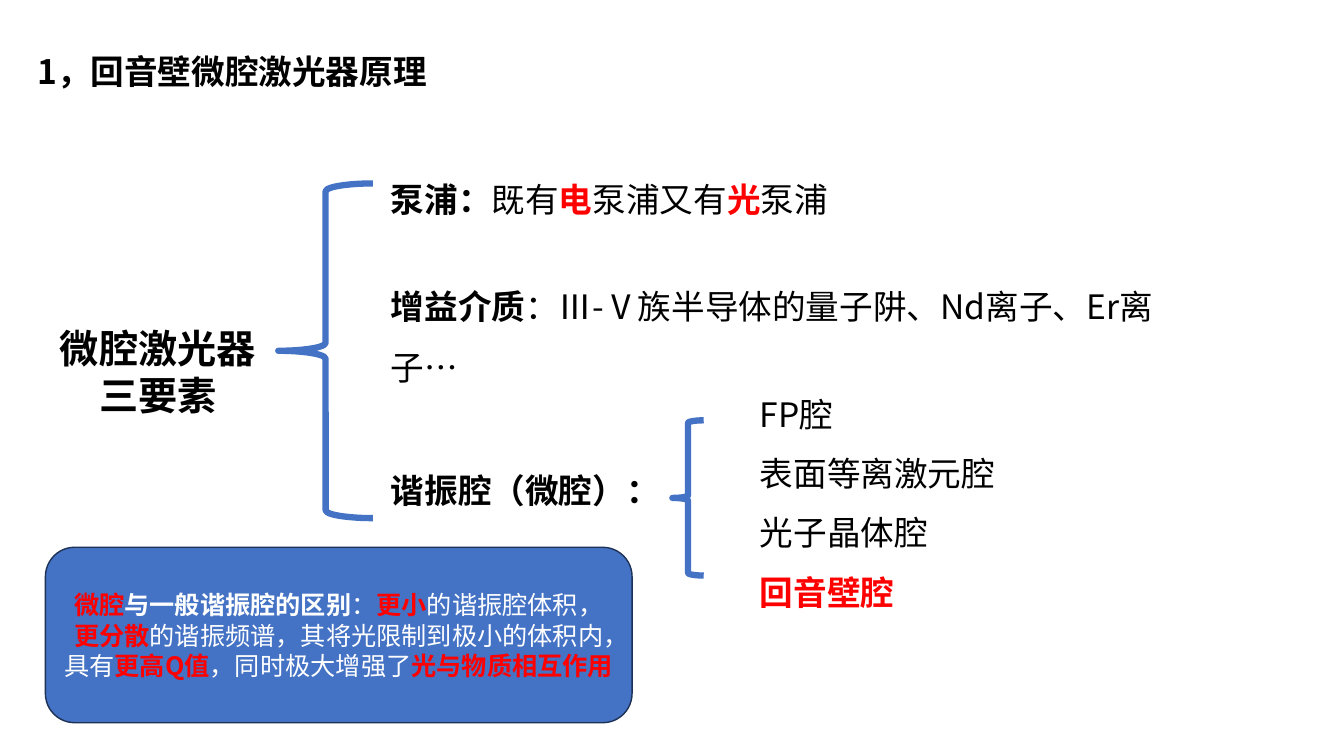
"""Build the slide on the principle of whispering-gallery microcavity lasers."""
from typing import NamedTuple

from lxml.etree import SubElement
from pptx import Presentation
from pptx.dml.color import RGBColor
from pptx.enum.shapes import MSO_SHAPE
from pptx.enum.text import MSO_ANCHOR, PP_ALIGN
from pptx.oxml.ns import qn
from pptx.util import Inches, Pt

FONT = "Noto Sans CJK SC"
COLORS = {"ink": "000000", "key": "FF0000", "light": "FFFFFF",
          "accent": "4472C4", "edge": "1E3256"}
STYLES = {
    "plain": ("ink", False),
    "bold": ("ink", True),
    "key": ("key", True),
    "light": ("light", False),
    "light_bold": ("light", True),
}


class Area(NamedTuple):
    """Left, top, width and height in percent of the slide's size."""
    left: float
    top: float
    width: float
    height: float


class Piece(NamedTuple):
    """A stretch of text in one style."""
    text: str
    style: str = "plain"


class Label(NamedTuple):
    """A text box made of lines of pieces."""
    area: Area
    lines: list[list[Piece]]
    size: int = 24
    format: dict = {}


TEXT_LEFT = 28.35
KIND_LEFT, KIND_TOP, KIND_STEP = 55.8, 51.47, 7.82

LABELS = [
    Label(Area(2.03, 6.13, 37.13, 6.67), [[Piece("1，回音壁微腔激光器原理", "bold")]]),
    Label(Area(TEXT_LEFT, 23.07, 61.5, 6.67), [[
        Piece("泵浦：", "bold"), Piece("既有"), Piece("电", "key"),
        Piece("泵浦又有"), Piece("光", "key"), Piece("泵浦")]]),
    Label(Area(TEXT_LEFT, 34.53, 63, 8.67), [[
        Piece("增益介质", "bold"),
        Piece("：Ⅲ-Ⅴ族半导体的量子阱、Nd离子、Er离子…")]],
        format={"line_spacing": 1.5}),
    Label(Area(TEXT_LEFT, 61.47, 21.08, 6.67), [[Piece("谐振腔（微腔）：", "bold")]]),
    Label(Area(3.38, 42.27, 16.73, 13.87),
          [[Piece("微腔激光器", "bold")], [Piece("三要素", "bold")]],
          28, {"alignment": PP_ALIGN.CENTER}),
]
CAVITY_KINDS = [Piece("FP腔"), Piece("表面等离激元腔"), Piece("光子晶体腔"),
                Piece("回音壁腔", "key")]
BRACES = [Area(20.7, 24.27, 7.05, 44.27), Area(50.03, 55.6, 2.33, 20.53)]
NOTE = Label(Area(3.38, 72.4, 43.65, 23.2), [[
    Piece("微腔", "key"), Piece("与一般谐振腔的区别", "light_bold"),
    Piece("：", "light"), Piece("更小", "key"),
    Piece("的谐振腔体积，", "light"), Piece("更分散", "key"),
    Piece("的谐振频谱，其将光限制到极小的体积内，具有", "light"),
    Piece("更高Q值", "key"), Piece("，同时极大增强了", "light"),
    Piece("光与物质相互作用", "key")]],
    18, {"alignment": PP_ALIGN.CENTER})


def rgb(name: str) -> RGBColor:
    """Look up a named colour."""
    return RGBColor.from_string(COLORS[name])


def place(prs, area: Area) -> tuple[int, int, int, int]:
    """Turn percentages into slide lengths."""
    sides = (prs.slide_width, prs.slide_height) * 2
    return tuple(round(side * share / 100) for side, share in zip(sides, area))


def write(tf, label: Label) -> None:
    """Fill a text frame with the lines of a label."""
    tf.word_wrap = True
    for i, line in enumerate(label.lines):
        p = tf.add_paragraph() if i else tf.paragraphs[0]
        for name, value in label.format.items():
            setattr(p, name, value)
        for piece in line:
            color, bold = STYLES[piece.style]
            r = p.add_run()
            r.text = piece.text
            for name, value in {"name": FONT, "size": Pt(label.size), "bold": bold}.items():
                setattr(r.font, name, value)
            r.font.color.rgb = rgb(color)
            SubElement(r.font._element, qn("a:ea"), typeface=FONT)


def add_label(prs, s, label: Label) -> None:
    """Add a text box."""
    write(s.shapes.add_textbox(*place(prs, label.area)).text_frame, label)


def add_outline(prs, s, kind, area: Area, color: str, width: float):
    """Add an unfilled preset shape with a coloured line."""
    sp = s.shapes.add_shape(kind, *place(prs, area))
    sp.shadow.inherit = False
    sp.fill.background()
    sp.line.color.rgb = rgb(color)
    sp.line.width = Pt(width)
    return sp


def main() -> None:
    """Draw the slide and save it."""
    prs = Presentation()
    prs.slide_width, prs.slide_height = Inches(13.33), Inches(7.5)
    s = prs.slides.add_slide(prs.slide_layouts[6])
    for label in LABELS:
        add_label(prs, s, label)
    for row, kind in enumerate(CAVITY_KINDS):
        area = Area(KIND_LEFT, KIND_TOP + row * KIND_STEP, 27.6, 6.67)
        add_label(prs, s, Label(area, [[kind]]))
    for area in BRACES:
        add_outline(prs, s, MSO_SHAPE.LEFT_BRACE, area, "accent", 4.5)
    sp = add_outline(prs, s, MSO_SHAPE.ROUNDED_RECTANGLE, NOTE.area, "edge", 1)
    sp.fill.solid()
    sp.fill.fore_color.rgb = rgb("accent")
    sp.text_frame.vertical_anchor = MSO_ANCHOR.MIDDLE
    write(sp.text_frame, NOTE)
    prs.save("out.pptx")


if __name__ == "__main__":
    main()
